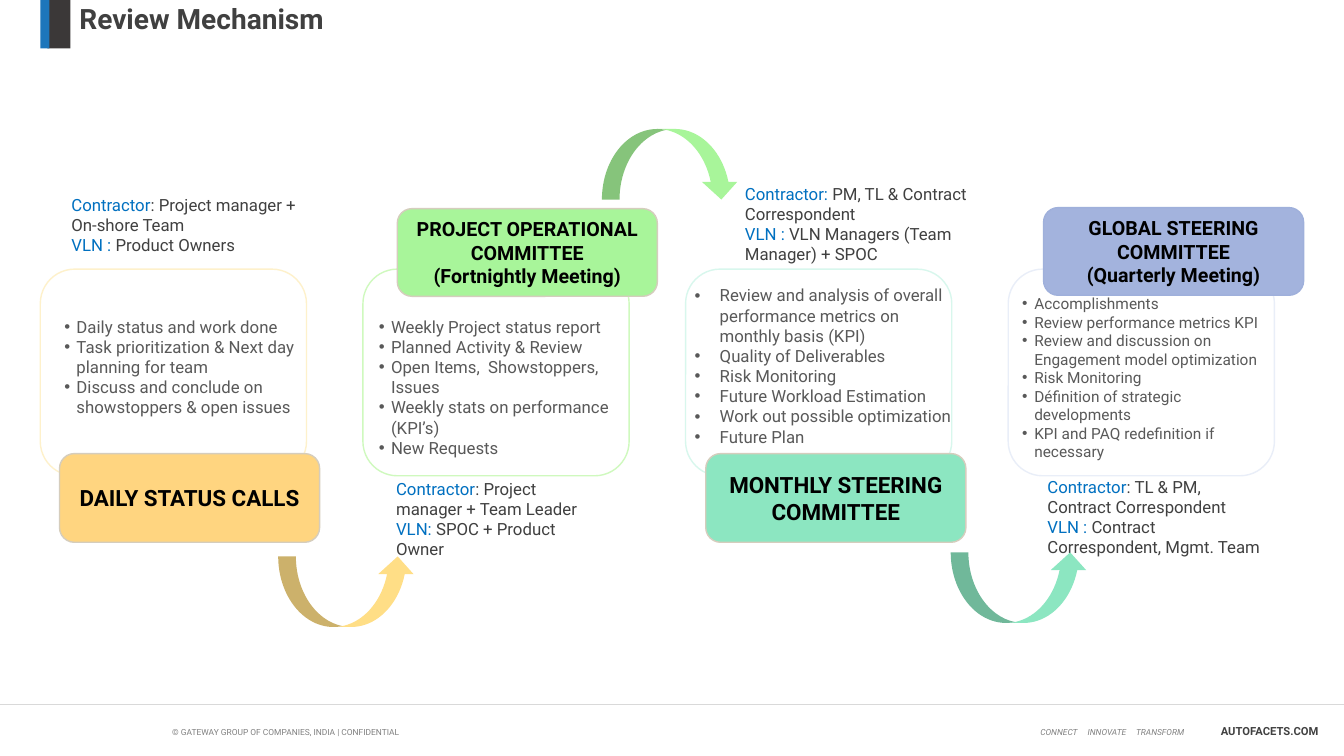
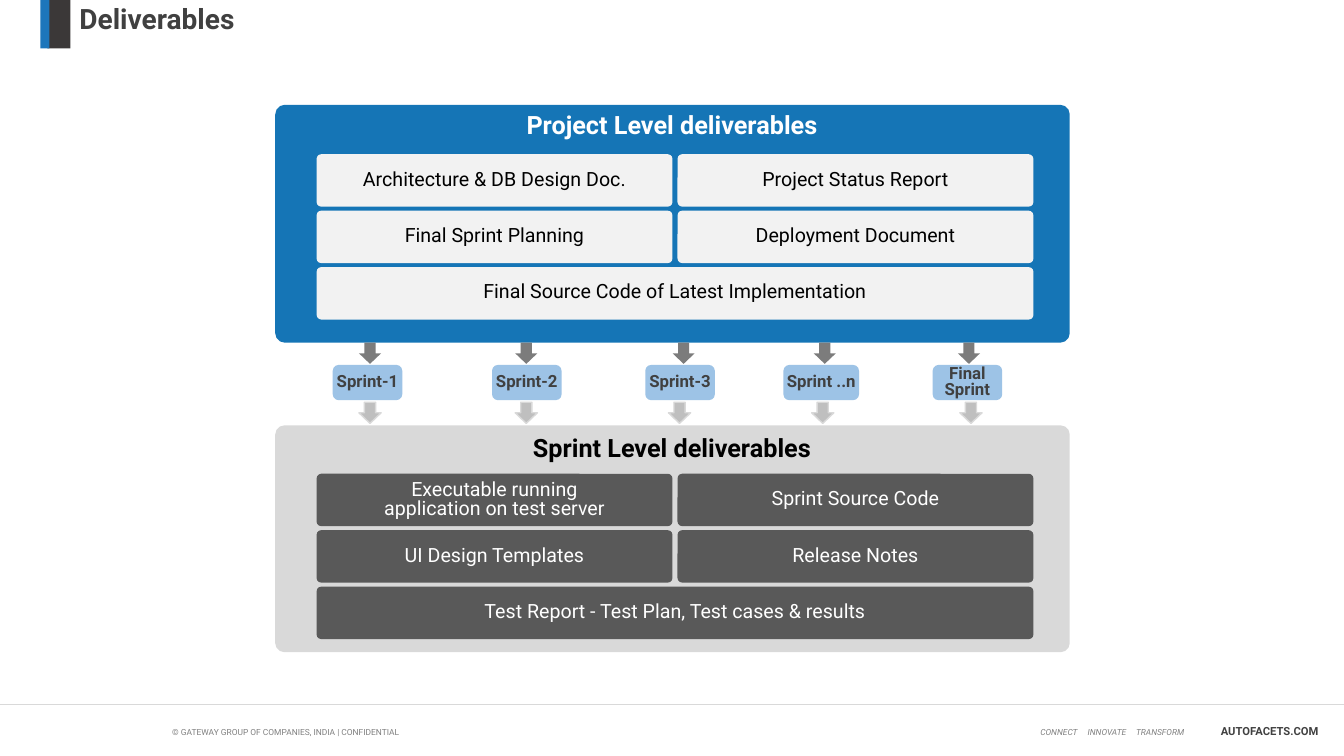
from dataclasses import dataclass

from lxml import etree
from pptx import Presentation
from pptx import util as u
from pptx.dml import color
from pptx.enum import shapes, text
from pptx.oxml import ns

SHAPE = shapes.MSO_SHAPE
ALIGN = text.PP_ALIGN
ANCHOR = text.MSO_ANCHOR


@dataclass(frozen=True)
class Theme:
    font: str = "Roboto"
    blue: str = "1D76BB"
    panel_blue: str = "1575B6"
    accent: str = "0070C0"
    sprint: str = "9DC3E6"
    charcoal: str = "3B3838"
    ink: str = "404040"
    site: str = "414141"
    body: str = "595959"
    arrow: str = "7C7C7C"
    muted: str = "808080"
    pale_arrow: str = "BFBFBF"
    rule: str = "D9D9D9"
    tile: str = "F2F2F2"
    label_edge: str = "D5CDBD"
    black: str = "000000"
    white: str = "FFFFFF"
    title_size: float = 20
    panel_size: float = 18
    heading_size: float = 16
    tile_size: float = 14
    text_size: float = 12
    small_size: float = 11
    site_size: float = 8
    footer_size: float = 6


T = Theme()


@dataclass(frozen=True)
class Box:
    x: float
    y: float
    w: float
    h: float

    def emu(self) -> tuple:
        return tuple(u.Inches(v) for v in (self.x, self.y, self.w, self.h))


@dataclass(frozen=True)
class Style:
    size: float
    color: str
    bold: bool = False
    italic: bool = False
    align: ALIGN = ALIGN.LEFT
    spacing: float | None = None


@dataclass(frozen=True)
class Meeting:
    label: tuple
    label_box: Box
    label_size: float
    fill: str
    label_edge: str
    card_edge: str
    note_box: Box
    note: tuple
    bullet_box: Box
    bullets: tuple
    bullet_size: float = T.text_size
    indent: float = 0.12


@dataclass(frozen=True)
class Swoosh:
    box: Box
    rotation: int
    fill: str
    flipped: bool = False


@dataclass(frozen=True)
class Panel:
    title: str
    box: Box
    fill: str
    title_color: str
    tile_fill: str
    tile_color: str
    tiles: tuple
    title_top: float
    first_row: float


@dataclass(frozen=True)
class Sprint:
    name: str
    x: float
    w: float
    arrow_in: float
    arrow_out: float


TEAM = "Contractor"
CLIENT = "VLN"

MEETINGS = (
    Meeting(
        ("DAILY STATUS CALLS",), Box(0.59, 4.5, 2.58, 0.88), T.heading_size,
        "FFD580", T.label_edge, "FEF1CB", Box(0.61, 1.88, 2.44, 0.7),
        ((TEAM, ": Project manager + On-shore Team"), (f"{CLIENT} : ", "Product Owners")),
        Box(0.54, 3.09, 2.51, 1.11),
        ("Daily status and work done", "Task prioritization & Next day planning for team",
         "Discuss and conclude on showstoppers & open issues"),
    ),
    Meeting(
        ("PROJECT OPERATIONAL COMMITTEE", "(Fortnightly Meeting)"),
        Box(3.94, 2.07, 2.58, 0.87), T.tile_size,
        "A8F59A", T.label_edge, "CFF9BE", Box(3.83, 4.7, 2.12, 0.9),
        ((TEAM, ": Project manager + Team Leader"), (f"{CLIENT}: ", "SPOC + Product Owner")),
        Box(3.66, 3.09, 2.52, 1.72),
        ("Weekly Project status report", "Planned Activity & Review",
         "Open Items,  Showstoppers, Issues", "Weekly stats on performance (KPI’s)",
         "New Requests"),
    ),
    Meeting(
        ("MONTHLY STEERING COMMITTEE",), Box(7, 4.5, 2.58, 0.88), T.heading_size,
        "8CE6C1", T.label_edge, "D8F7ED", Box(7.29, 1.77, 2.6, 0.9),
        ((f"{TEAM}: ", "PM, TL & Contract Correspondent"),
         (f"{CLIENT} : ", f"{CLIENT} Managers (Team Manager) + SPOC")),
        Box(6.79, 2.78, 2.77, 1.72),
        ("Review and analysis of overall performance metrics on monthly basis (KPI)",
         "Quality of Deliverables", "Risk Monitoring", "Future Workload Estimation",
         "Work out possible optimization", "Future Plan"),
        indent=0.25,
    ),
    Meeting(
        ("GLOBAL STEERING COMMITTEE", "(Quarterly Meeting)"),
        Box(10.35, 2.06, 2.58, 0.87), T.tile_size,
        "A3B3DD", "9FB0DB", "E9EEF8", Box(10.29, 4.68, 2.34, 0.9),
        ((TEAM, ": TL & PM, Contract Correspondent"),
         (f"{CLIENT} :", " Contract Correspondent, Mgmt. Team")),
        Box(10.04, 2.87, 2.66, 1.77),
        ("Accomplishments", "Review performance metrics KPI",
         "Review and discussion on Engagement model optimization", "Risk Monitoring",
         "Définition of strategic developments", "KPI and PAQ redefinition if necessary"),
        bullet_size=T.small_size,
    ),
)

SWOOSHES = (
    Swoosh(Box(3.09, 5.19, 0.7, 1.36), 270, "FFDE86"),
    Swoosh(Box(6.3, 0.95, 0.7, 1.36), 90, "A8F59A", True),
    Swoosh(Box(9.76, 5.15, 0.7, 1.36), 270, "8CE6C1"),
)

PANELS = (
    Panel("Project Level deliverables", Box(2.73, 1.04, 7.88, 2.36), T.panel_blue, T.white,
          T.tile, T.black,
          (("Architecture & DB Design Doc.",), ("Project Status Report",),
           ("Final Sprint Planning",), ("Deployment Document",),
           ("Final Source Code of Latest Implementation",)), 1.04, 1.53),
    Panel("Sprint Level deliverables", Box(2.73, 4.22, 7.88, 2.25), T.rule, T.black,
          T.body, T.white,
          (("Executable running", "application on test server"), ("Sprint Source Code",),
           ("UI Design Templates",), ("Release Notes",),
           ("Test Report - Test Plan, Test cases & results",)), 4.24, 4.7),
)

SPRINTS = (
    Sprint("Sprint-1", 3.3, 0.69, 3.56, 3.56),
    Sprint("Sprint-2", 4.88, 0.69, 5.11, 5.11),
    Sprint("Sprint-3", 6.4, 0.69, 6.67, 6.63),
    Sprint("Sprint ..n", 7.77, 0.75, 8.07, 8.05),
    Sprint("Final Sprint", 9.25, 0.69, 9.5, 9.52),
)


def rgb(value: str) -> color.RGBColor:
    return color.RGBColor.from_string(value)


def add_run(p, words: str, style: Style, tint: str | None = None) -> None:
    r = p.add_run()
    r.text = words
    values = {"name": T.font, "size": u.Pt(style.size),
              "bold": style.bold, "italic": style.italic}
    for key, value in values.items():
        setattr(r.font, key, value)
    r.font.color.rgb = rgb(tint or style.color)


def write(tf, lines: tuple, style: Style) -> list:
    paragraphs = []
    for i, line in enumerate(lines):
        p = tf.add_paragraph() if i else tf.paragraphs[0]
        for key, value in {"alignment": style.align, "line_spacing": style.spacing}.items():
            setattr(p, key, value)
        add_run(p, line, style)
        paragraphs.append(p)
    return paragraphs


def add_text(s, box: Box):
    tf = s.shapes.add_textbox(*box.emu()).text_frame
    tf.word_wrap = True
    return tf


def add_block(s, kind: SHAPE, box: Box, fill: str | None = None,
              edge: str | None = None, radius: float | None = None):
    sp = s.shapes.add_shape(kind, *box.emu())
    sp.shadow.inherit = False
    if fill:
        sp.fill.solid()
        sp.fill.fore_color.rgb = rgb(fill)
    else:
        sp.fill.background()
    if edge:
        sp.line.color.rgb = rgb(edge)
        sp.line.width = u.Pt(1)
    else:
        sp.line.fill.background()
    if radius is not None:
        sp.adjustments[0] = radius
    sp.text_frame.vertical_anchor = ANCHOR.MIDDLE
    return sp


def add_bullet(p, indent: float) -> None:
    pr = p._p.get_or_add_pPr()
    pr.set("marL", str(u.Inches(indent)))
    pr.set("indent", str(-u.Inches(indent)))
    tint = etree.SubElement(pr, ns.qn("a:buClr"))
    etree.SubElement(tint, ns.qn("a:srgbClr"), val=T.body)
    etree.SubElement(pr, ns.qn("a:buFont"), typeface="Arial")
    etree.SubElement(pr, ns.qn("a:buChar"), char="•")


def add_tabs(p, stops: tuple) -> None:
    tabs = etree.SubElement(p._p.get_or_add_pPr(), ns.qn("a:tabLst"))
    for stop in stops:
        etree.SubElement(tabs, ns.qn("a:tab"), pos=str(u.Inches(stop)), algn="l")


def add_base(prs, title: str):
    s = prs.slides.add_slide(prs.slide_layouts[6])
    write(add_text(s, Box(1.61, 7.16, 3.69, 0.2)),
          ("© GATEWAY GROUP OF COMPANIES, INDIA | CONFIDENTIAL",),
          Style(T.footer_size, T.muted))
    motto = write(add_text(s, Box(10.22, 7.16, 1.94, 0.2)),
                  ("CONNECT\tINNOVATE\tTRANSFORM",),
                  Style(T.footer_size, T.muted, italic=True))
    add_tabs(motto[0], (0.47, 0.95))
    rule = s.shapes.add_connector(shapes.MSO_CONNECTOR.STRAIGHT, u.Inches(0), u.Inches(6.99),
                                  prs.slide_width, u.Inches(6.99))
    rule.line.color.rgb = rgb(T.rule)
    rule.line.width = u.Pt(0.5)
    etree.SubElement(rule._element.spPr, ns.qn("a:effectLst"))
    write(add_text(s, Box(12.01, 7.14, 1.3, 0.24)), ("AUTOFACETS.COM",),
          Style(T.site_size, T.site, bold=True))
    add_block(s, SHAPE.RECTANGLE, Box(0.47, 0, 0.23, 0.48), T.charcoal)
    add_block(s, SHAPE.RECTANGLE, Box(0.4, 0, 0.09, 0.48), T.blue)
    write(add_text(s, Box(0.69, 0, 12.64, 0.48)), (title,),
          Style(T.title_size, T.ink, bold=True, spacing=0.9))
    return s


def add_meeting(s, m: Meeting, card_x: float) -> None:
    add_block(s, SHAPE.ROUNDED_RECTANGLE, Box(card_x, 2.67, 2.64, 2.05), edge=m.card_edge)
    label = add_block(s, SHAPE.ROUNDED_RECTANGLE, m.label_box, m.fill, m.label_edge)
    write(label.text_frame, m.label,
          Style(m.label_size, T.black, bold=True, align=ALIGN.CENTER))
    style = Style(T.text_size, T.ink)
    leads = tuple(who for who, _ in m.note)
    notes = write(add_text(s, m.note_box), leads, Style(T.text_size, T.accent))
    for p, (_, people) in zip(notes, m.note):
        add_run(p, people, style)
    for p in write(add_text(s, m.bullet_box), m.bullets, Style(m.bullet_size, T.body)):
        add_bullet(p, m.indent)


def add_swoosh(s, swoosh: Swoosh) -> None:
    sp = add_block(s, SHAPE.CURVED_RIGHT_ARROW, swoosh.box, swoosh.fill)
    sp.rotation = swoosh.rotation
    if swoosh.flipped:
        sp._element.spPr.find(ns.qn("a:xfrm")).set("flipV", "1")


def add_panel(s, panel: Panel) -> None:
    add_block(s, SHAPE.ROUNDED_RECTANGLE, panel.box, panel.fill, radius=0.04)
    write(add_text(s, Box(5.01, panel.title_top, 3.31, 0.4)), (panel.title,),
          Style(T.panel_size, panel.title_color, bold=True, align=ALIGN.CENTER))
    style = Style(T.tile_size, panel.tile_color, align=ALIGN.CENTER, spacing=0.8)
    for i, lines in enumerate(panel.tiles):
        row, col = divmod(i, 2)
        width = 7.11 if i == len(panel.tiles) - 1 else 3.53
        box = Box(3.14 + 3.58 * col, panel.first_row + 0.56 * row, width, 0.52)
        tile = add_block(s, SHAPE.ROUNDED_RECTANGLE, box, panel.tile_fill, radius=0.09)
        write(tile.text_frame, lines, style)


def add_sprint(s, sprint: Sprint) -> None:
    sp = add_block(s, SHAPE.ROUNDED_RECTANGLE, Box(sprint.x, 3.62, sprint.w, 0.35), T.sprint)
    for side in ("left", "top", "right", "bottom"):
        setattr(sp.text_frame, f"margin_{side}", u.Inches(0))
    write(sp.text_frame, (sprint.name,),
          Style(T.text_size, T.ink, bold=True, align=ALIGN.CENTER, spacing=0.8))
    add_block(s, SHAPE.DOWN_ARROW, Box(sprint.arrow_in, 3.4, 0.22, 0.21), T.arrow)
    add_block(s, SHAPE.DOWN_ARROW, Box(sprint.arrow_out, 3.99, 0.22, 0.21),
              T.pale_arrow, T.rule)


def main() -> None:
    prs = Presentation()
    prs.slide_width, prs.slide_height = u.Inches(13.33), u.Inches(7.5)
    s = add_base(prs, "Review Mechanism")
    for i, meeting in enumerate(MEETINGS):
        add_meeting(s, meeting, 0.4 + 3.2 * i)
    for swoosh in SWOOSHES:
        add_swoosh(s, swoosh)
    s = add_base(prs, "Deliverables")
    for panel in PANELS:
        add_panel(s, panel)
    for sprint in SPRINTS:
        add_sprint(s, sprint)
    prs.save("out.pptx")


if __name__ == "__main__":
    main()
